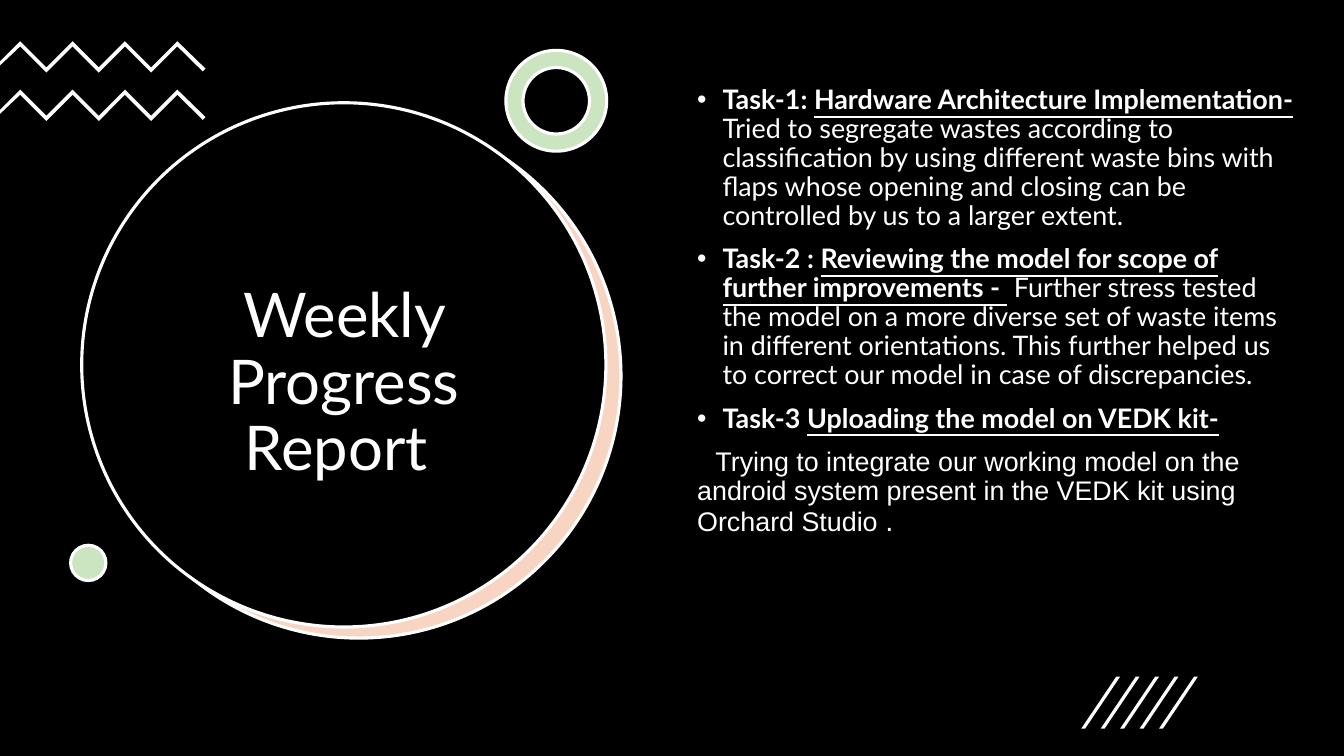
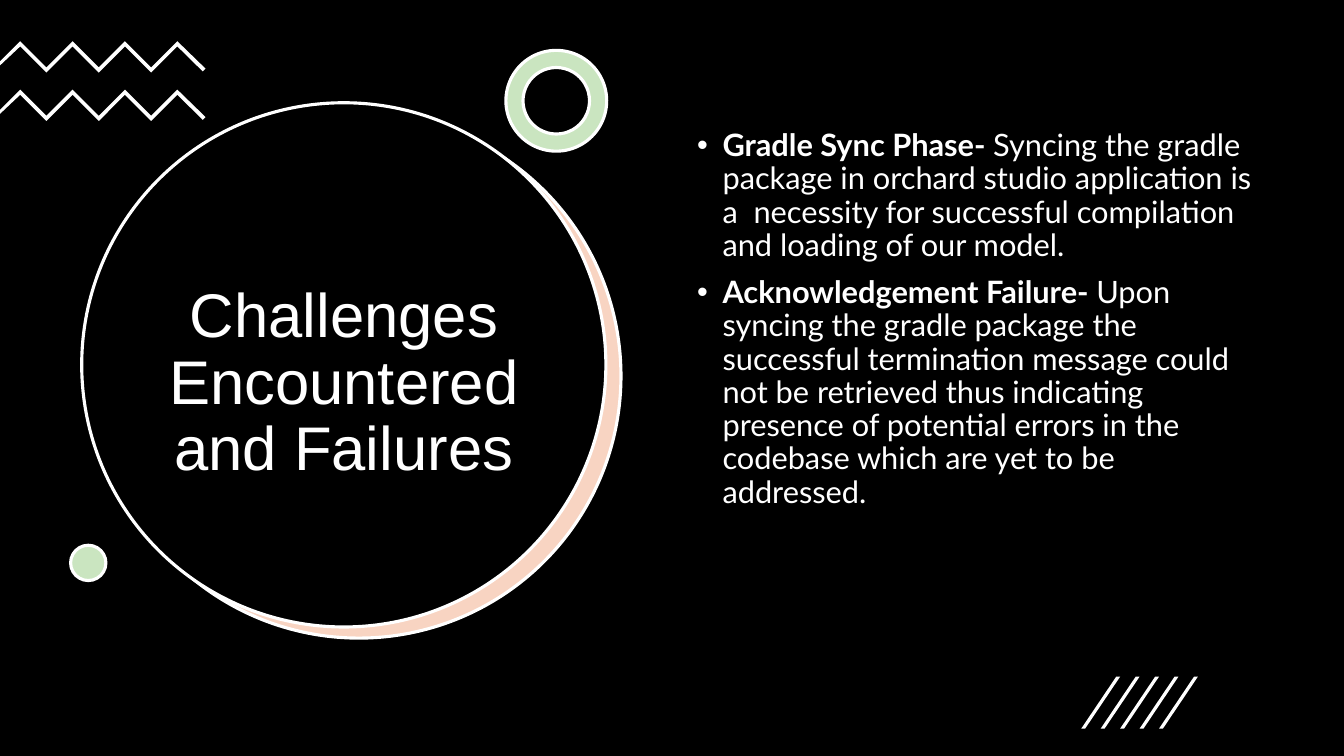
from lxml.etree import SubElement
from pptx import Presentation
from pptx.dml.color import RGBColor
from pptx.enum.shapes import MSO_SHAPE as SHAPE
from pptx.enum.text import MSO_ANCHOR as ANCHOR, PP_ALIGN as ALIGN
from pptx.oxml.ns import qn
from pptx.util import Cm, Pt

BLACK, WHITE, PEACH, MINT = "000000", "FFFFFF", "F8D4C2", "CAE5C0"


def paint(shape, fill, line=None):
    """Fill a shape with a hex colour, outlined only if a line colour is given."""
    shape.shadow.inherit = False
    shape.fill.solid()
    shape.fill.fore_color.rgb = RGBColor.from_string(fill)
    if line:
        shape.line.color.rgb = RGBColor.from_string(line)
        shape.line.width = Pt(2.25)
    else:
        shape.line.fill.background()


def add_bullet(p):
    pPr = p._p.get_or_add_pPr()
    pPr.set("marL", str(Cm(0.64)))
    pPr.set("indent", str(-Cm(0.64)))
    color = SubElement(pPr, qn("a:buClr"))
    SubElement(color, qn("a:srgbClr"), val=WHITE)
    SubElement(pPr, qn("a:buFont"), typeface="Arial")
    SubElement(pPr, qn("a:buChar"), char="•")


# Each paragraph is (font, bulleted, runs); each run is (text, style, size),
# where the style letters are b for bold and u for underlined.
slides = [
    {
        "title": "Weekly Progress Report ",
        "title_font": "Lato",
        "body_box": (17.32, 2.06, 15.62, 13.16),
        "body": [
            ("Lato", True, [
                ("Task-1: ", "b", 19.2),
                ("Hardware Architecture Implementation- ", "bu", 19.2),
                ("Tried to segregate wastes according to classification by using "
                 "different waste bins with flaps whose opening and closing can be "
                 "controlled by us to a larger extent.", "", 19.2),
            ]),
            ("Lato", True, [
                ("Task-2 : ", "b", 19.2),
                ("Reviewing the model for scope of further improvements - ", "bu", 19.2),
                (" Further stress tested the model on a more diverse set of waste "
                 "items in different orientations. This further helped us to correct "
                 "our model in case of discrepancies.", "", 19.2),
            ]),
            ("Lato", True, [
                ("Task-3 ", "b", 19.2),
                ("Uploading the model on VEDK kit-", "bu", 19.2),
            ]),
            ("Arial", False, [
                ("Trying to integrate our working model on the android system present "
                 "in the VEDK kit using Orchard Studio ", "", 19.2),
                (".", "", 20.9),
            ]),
        ],
    },
    {
        "title": "Challenges Encountered and Failures",
        "title_font": "Arial",
        "body_box": (17.32, 3.15, 14.48, 12.09),
        "body": [
            ("Lato", True, [
                ("Gradle Sync Phase- ", "b", 22),
                ("Syncing the gradle package in orchard studio application is "
                 "a  necessity for successful compilation and loading of our model.",
                 "", 22),
            ]),
            ("Lato", True, [
                ("Acknowledgement Failure- ", "b", 22),
                ("Upon syncing the gradle package the successful termination message "
                 "could not be retrieved thus indicating presence of potential errors "
                 "in the codebase which are yet to be addressed.", "", 22),
            ]),
        ],
    },
]

# Upper edge of a zigzag band, then its lower edge back to the left (cm).
turns = [(0.51 + 0.66 * i, 1.04 + 0.66 * (i % 2)) for i in range(7)]
zigzag = [(0, 1.55), *turns, (5.18, 1.73), (5.11, 1.8)]
zigzag += [(x, y + 0.13) for x, y in reversed(turns)] + [(0, 1.65)]

discs = [
    (SHAPE.OVAL, 2.44, 2.87, 13.21, PEACH),
    (SHAPE.OVAL, 2.06, 2.59, 13.21, BLACK),
    (SHAPE.DONUT, 12.75, 1.27, 2.54, MINT),
    (SHAPE.OVAL, 1.78, 13.74, 0.89, MINT),
]

prs = Presentation()
prs.slide_width, prs.slide_height = Cm(33.87), Cm(19.05)

for content in slides:
    s = prs.slides.add_slide(prs.slide_layouts[6])
    s.background.fill.solid()
    s.background.fill.fore_color.rgb = RGBColor.from_string(BLACK)

    for kind, left, top, size, fill in discs:
        sp = s.shapes.add_shape(kind, Cm(left), Cm(top), Cm(size), Cm(size))
        paint(sp, fill, WHITE)
        if kind == SHAPE.DONUT:
            sp.adjustments[0] = 0.17

    for drop in (0, 1.22):
        points = [(Cm(x), Cm(y + drop)) for x, y in zigzag]
        builder = s.shapes.build_freeform(*points[0])
        builder.add_line_segments(points[1:])
        paint(builder.convert_to_shape(), WHITE)

    for i in range(5):
        stripe = s.shapes.add_shape(SHAPE.PARALLELOGRAM, Cm(27.25 + 0.49 * i),
                                    Cm(17.05), Cm(0.98), Cm(1.31))
        stripe.adjustments[0] = 0.9
        paint(stripe, WHITE)

    title = s.shapes.add_textbox(Cm(3.07), Cm(5.21), Cm(11.2), Cm(8.94))
    tf = title.text_frame
    tf.word_wrap = True
    tf.vertical_anchor = ANCHOR.MIDDLE
    tf.text = content["title"]
    p = tf.paragraphs[0]
    p.alignment = ALIGN.CENTER
    p.line_spacing = 0.9
    font = p.runs[0].font
    font.name, font.size = content["title_font"], Pt(44)
    font.color.rgb = RGBColor.from_string(WHITE)

    body = s.shapes.add_textbox(*[Cm(v) for v in content["body_box"]])
    tf = body.text_frame
    tf.word_wrap = True
    for i, (font_name, bulleted, runs) in enumerate(content["body"]):
        p = tf.add_paragraph() if i else tf.paragraphs[0]
        if bulleted:
            add_bullet(p)
        else:
            p._p.get_or_add_pPr().set("indent", str(Cm(0.46)))
        p.line_spacing = 0.9
        p.space_before = Pt(10 if i else 0)
        for text, style, size in runs:
            r = p.add_run()
            r.text = text
            r.font.name, r.font.size = font_name, Pt(size)
            r.font.bold = "b" in style
            r.font.underline = "u" in style
            r.font.color.rgb = RGBColor.from_string(WHITE)

prs.save("out.pptx")
